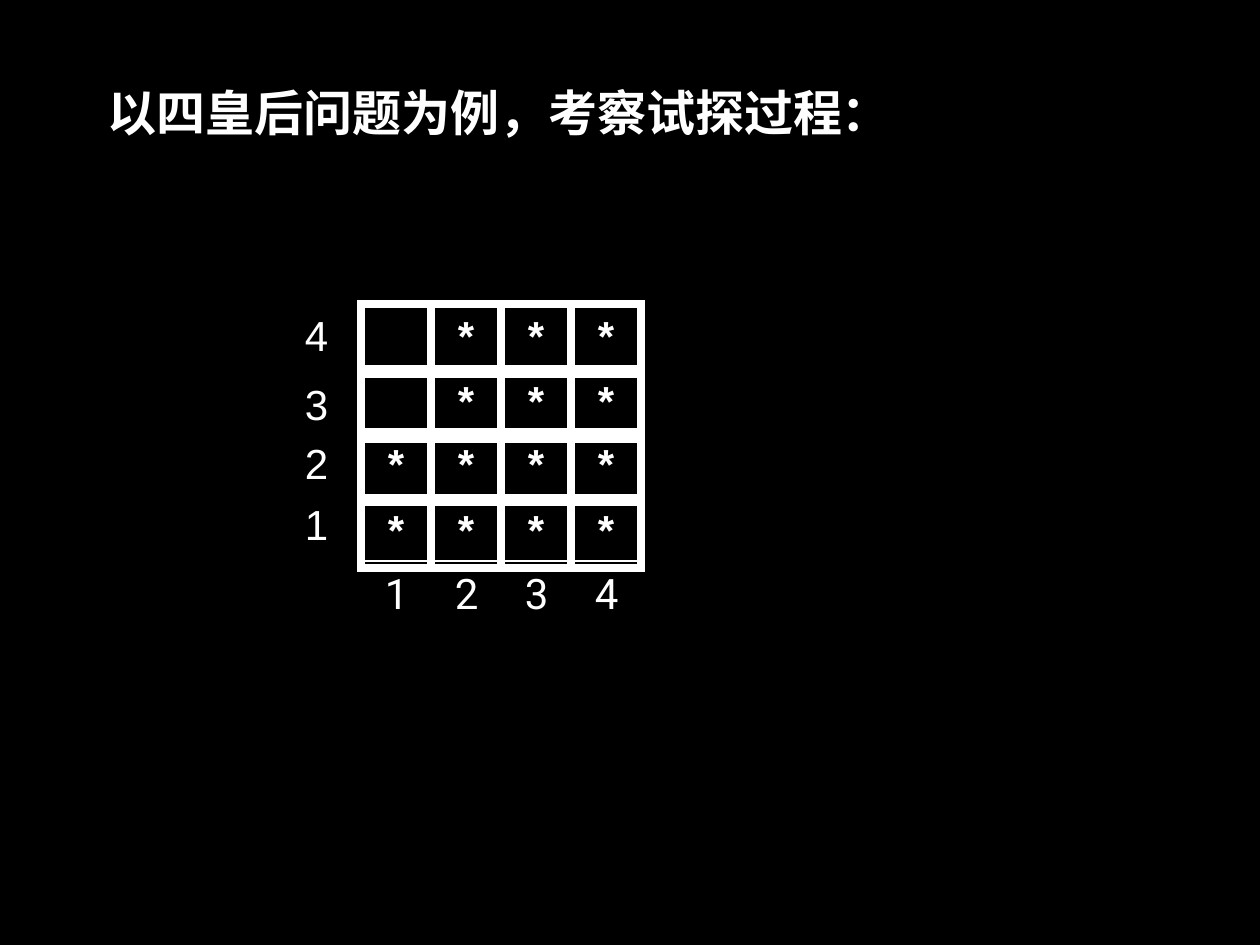
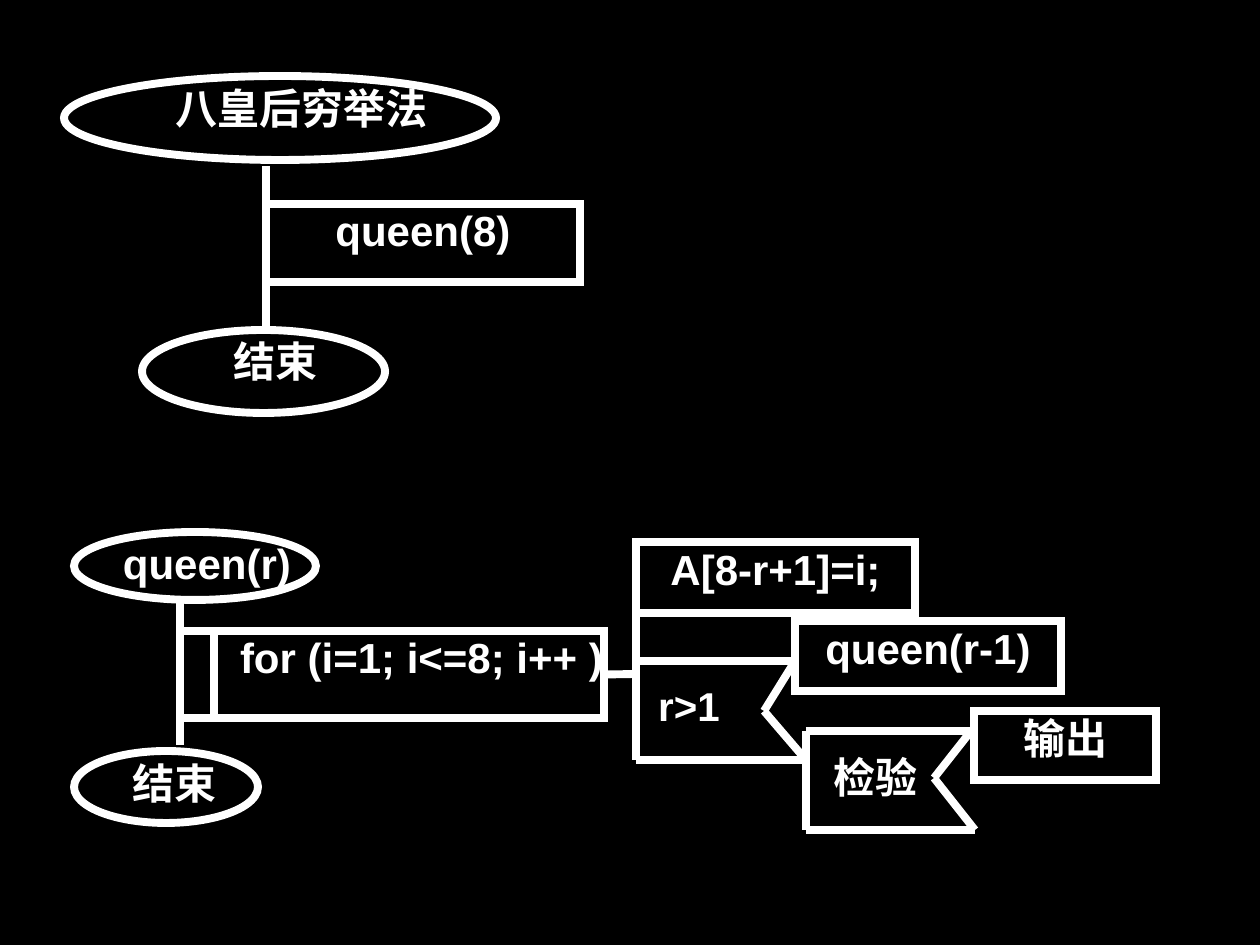
import dataclasses

import pptx
import pptx.dml.color
import pptx.enum.shapes
import pptx.enum.text
import pptx.oxml.ns
import pptx.util
import lxml.etree

SHAPES = pptx.enum.shapes.MSO_SHAPE
ALIGN = pptx.enum.text.PP_ALIGN
PX = 914400 / 126


def px(length):
    return pptx.util.Emu(round(length * PX))


@dataclasses.dataclass(frozen=True)
class Theme:
    ink: pptx.dml.color.RGBColor = pptx.dml.color.RGBColor(255, 255, 255)
    ground: pptx.dml.color.RGBColor = pptx.dml.color.RGBColor(0, 0, 0)
    font: str = "Arial"
    digit_font: str = "Roboto"
    title_size: float = 28
    text_size: float = 24
    small_size: float = 23
    thin: float = 0.75
    thick: float = 4.5


class Board:
    """Draws white outlines and text on the current page of a black deck."""

    def __init__(self, theme):
        self.theme = theme
        self.deck = pptx.Presentation()
        self.deck.slide_width, self.deck.slide_height = px(1260), px(945)
        fill = self.deck.slide_master.background.fill
        fill.solid()
        fill.fore_color.rgb = theme.ground
        self.page = None

    def new_page(self, layout):
        self.page = self.deck.slides.add_slide(self.deck.slide_layouts[layout])

    def set_text(self, box, text, align, size=None, font=None, bold=True, inset=(1, 1)):
        frame = box.text_frame
        frame.word_wrap = True
        frame.auto_size = pptx.enum.text.MSO_AUTO_SIZE.NONE
        frame.vertical_anchor = pptx.enum.text.MSO_ANCHOR.TOP
        frame.margin_left = frame.margin_right = px(inset[0])
        frame.margin_top = frame.margin_bottom = px(inset[1])
        para = frame.paragraphs[0]
        para.text = text
        para.alignment = align
        para.font.name = font or self.theme.font
        para.font.size = pptx.util.Pt(size or self.theme.text_size)
        para.font.bold = bold
        para.font.color.rgb = self.theme.ink

    def title(self, text, left, top, width, height):
        box = self.page.shapes.title
        box.left, box.top, box.width, box.height = map(px, (left, top, width, height))
        self.set_text(box, text, ALIGN.LEFT, self.theme.title_size, inset=(13, 6))

    def label(self, text, left, top, width, height, align=ALIGN.CENTER, **style):
        box = self.page.shapes.add_textbox(*map(px, (left, top, width, height)))
        self.set_text(box, text, align, **style)

    def outline(self, kind, left, top, width, height, weight=None):
        shape = self.page.shapes.add_shape(kind, *map(px, (left, top, width, height)))
        shape.shadow.inherit = False
        shape.fill.background()
        shape.line.color.rgb = self.theme.ink
        shape.line.width = pptx.util.Pt(weight or self.theme.thick)
        stroke = shape._element.spPr.find(pptx.oxml.ns.qn("a:ln"))
        corner = lxml.etree.SubElement(stroke, pptx.oxml.ns.qn("a:miter"))
        corner.set("lim", "800000")
        return shape

    def step(self, text, left, top, width, height, align=ALIGN.CENTER):
        shape = self.outline(SHAPES.RECTANGLE, left, top, width, height)
        self.set_text(shape, text, align)
        return shape

    def terminal(self, text, left, top, width, height):
        self.label(text, left, top + 5, round(width * 1.1), height - 5)
        self.outline(SHAPES.OVAL, left, top, width, height)

    def line(self, start, end):
        connector = self.page.shapes.add_connector(
            pptx.enum.shapes.MSO_CONNECTOR.STRAIGHT, *map(px, (*start, *end)))
        connector.line.color.rgb = self.theme.ink
        connector.line.width = pptx.util.Pt(self.theme.thick)
        properties = connector._element.spPr
        lxml.etree.SubElement(properties, pptx.oxml.ns.qn("a:effectLst"))
        return connector

    def condition(self, left, top, bottom, upper_tip, lower_tip, notch):
        self.line((left, top), (left, bottom))
        for tip in ((upper_tip, top), (lower_tip, bottom)):
            self.line((left, tip[1]), tip)
            self.line(tip, notch)


def draw_chessboard(board):
    theme = board.theme
    board.new_page(5)
    board.title("以四皇后问题为例，考察试探过程：", 95, 76, 912, 72)
    side = 70
    columns = [361 + side * index for index in range(4)]
    rows = (304, 369, 432, 498)
    row_labels = (304, 373, 432, 493)
    stars = (" ***", " ***", "****", "****")

    for top, marks in zip(rows, stars):
        for left, mark in zip(columns, marks):
            cell = board.outline(SHAPES.RECTANGLE, left, top, side, 63, theme.thin)
            if mark == "*":
                board.set_text(cell, mark, ALIGN.CENTER, inset=(13, 6))

    digit = dict(align=ALIGN.LEFT, bold=False, inset=(13, 6))
    for number, left in enumerate(columns, 1):
        board.label(str(number), left + 11, 562, 100, 63, font=theme.digit_font, **digit)
    for number, top in enumerate(reversed(row_labels), 1):
        board.label(str(number), 292, top, 100, 63, **digit)

    for top in rows:
        for left in columns:
            board.outline(SHAPES.RECTANGLE, left, top, side, 70)


def draw_exhaustive_search(board):
    board.new_page(6)
    board.terminal("八皇后穷举法", 64, 76, 432, 84)
    board.line((266, 166), (266, 329))
    board.terminal("结束", 142, 330, 243, 83)
    board.step("queen(8)", 266, 204, 314, 78)


def draw_queen_function(board):
    board.terminal("queen(r)", 74, 532, 242, 68)
    board.line((180, 601), (180, 745))
    board.terminal("结束", 74, 751, 184, 72)
    loop = board.step("for (i=1; i<=8; i++ )", 180, 631, 424, 87, ALIGN.RIGHT)
    board.line((214, 631), (214, 718))
    board.step("queen(r-1)", 795, 621, 266, 70)
    board.step("A[8-r+1]=i;", 636, 542, 279, 71)
    board.line((636, 542), (636, 661))
    board.condition(636, 661, 760, 795, 806, (764, 711))
    board.label("r>1", 636, 680, 106, 59, size=board.theme.small_size)
    board.step("输出", 974, 711, 182, 69)
    board.line((604, 674), (638, 674)).begin_connect(loop, 3)
    board.condition(806, 731, 830, 971, 975, (934, 778))
    board.label("检验", 806, 751, 140, 57)


def main():
    board = Board(Theme())
    draw_chessboard(board)
    draw_exhaustive_search(board)
    draw_queen_function(board)
    board.deck.save("out.pptx")


if __name__ == "__main__":
    main()
